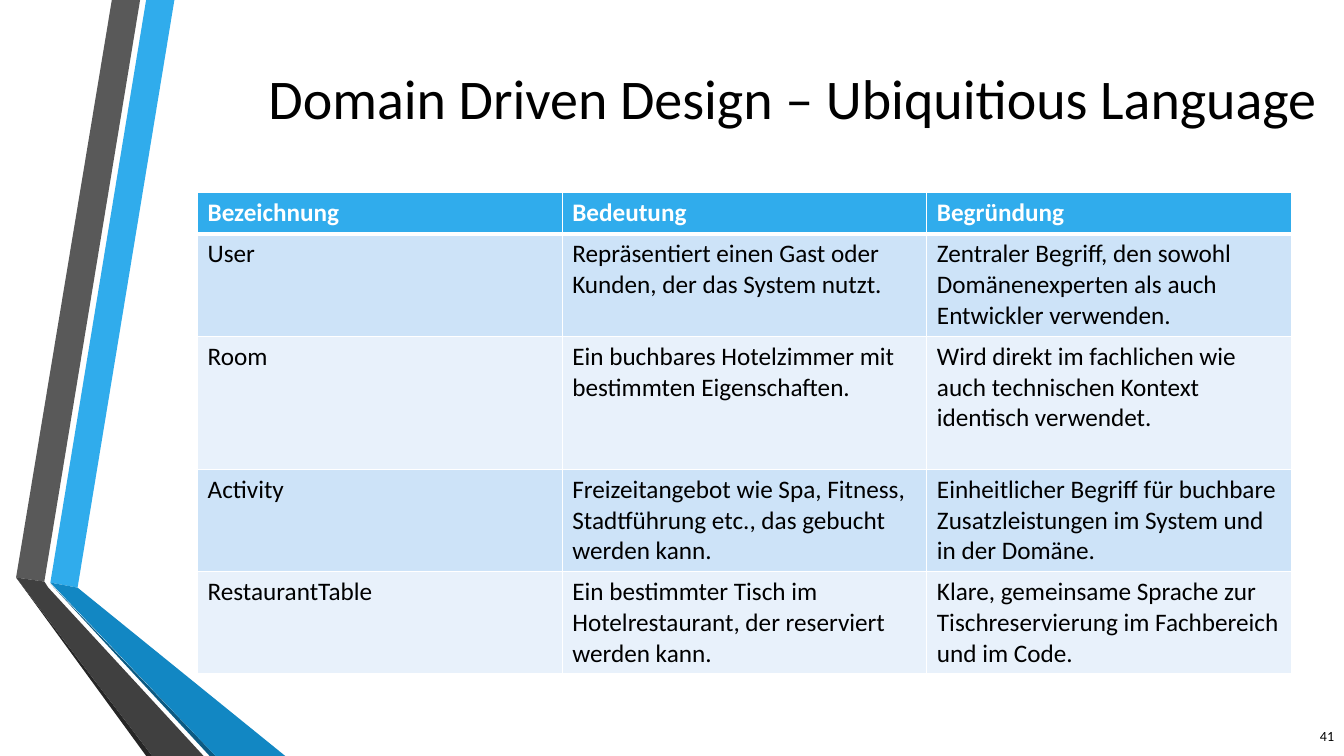
from dataclasses import dataclass

from lxml.etree import _Element
from pptx import Presentation
from pptx.dml.color import RGBColor
from pptx.dml.fill import FillFormat
from pptx.enum.text import MSO_ANCHOR, MSO_AUTO_SIZE, PP_ALIGN
from pptx.oxml import parse_xml
from pptx.oxml.ns import nsdecls
from pptx.slide import Slide
from pptx.table import _Cell
from pptx.text.text import TextFrame
from pptx.util import Inches, Pt

FONT = "Calibri"
BLACK, WHITE, BLUE = "000000", "FFFFFF", "30ACEC"
BAND_COLOURS = ("CDE3F8", "E8F1FB")


@dataclass(frozen=True)
class Ribbon:
    colour: str
    points: tuple[tuple[float, float], ...]


@dataclass(frozen=True)
class Term:
    name: str
    meaning: str
    reason: str
    height: float


RIBBONS = (
    Ribbon(BLUE, ((0.5, 5.78), (0.77, 5.83), (1.73, 0), (1.45, 0))),
    Ribbon("595959", ((1.39, 0), (1.11, 0), (0.16, 5.73), (0.44, 5.77))),
    Ribbon("262626", ((0.16, 5.73), (1.45, 7.5), (1.51, 7.5))),
    Ribbon("0C5A82", ((0.5, 5.79), (2.08, 7.5), (2.14, 7.5))),
    Ribbon("1287C3", ((0.5, 5.78), (2.14, 7.5), (2.83, 7.5), (0.77, 5.83))),
    Ribbon("404040", ((2.02, 7.5), (0.48, 5.83), (0.44, 5.77), (0.16, 5.73), (1.51, 7.5))),
)

TERMS = (
    Term("Bezeichnung", "Bedeutung", "Begründung", 0.41),
    Term("User",
         "Repräsentiert einen Gast oder Kunden, der das System nutzt.",
         "Zentraler Begriff, den sowohl Domänenexperten als auch Entwickler verwenden.", 1.01),
    Term("Room",
         "Ein buchbares Hotelzimmer mit bestimmten Eigenschaften.",
         "Wird direkt im fachlichen wie auch technischen Kontext identisch verwendet.", 1.32),
    Term("Activity",
         "Freizeitangebot wie Spa, Fitness, Stadtführung etc., das gebucht werden kann.",
         "Einheitlicher Begriff für buchbare Zusatzleistungen im System und in der Domäne.", 1.01),
    Term("RestaurantTable",
         "Ein bestimmter Tisch im Hotelrestaurant, der reserviert werden kann.",
         "Klare, gemeinsame Sprache zur Tischreservierung im Fachbereich und im Code.", 1.01),
)


def paint(fill: FillFormat, colour: str) -> None:
    fill.solid()
    fill.fore_color.rgb = RGBColor.from_string(colour)


def write(frame: TextFrame, text: str, size: float, colour: str = BLACK,
          align: PP_ALIGN = PP_ALIGN.LEFT, bold: bool = False) -> None:
    para = frame.paragraphs[0]
    para.alignment = align
    span = para.add_run()
    span.text = text
    span.font.name = FONT
    span.font.size = Pt(size)
    span.font.bold = bold
    span.font.color.rgb = RGBColor.from_string(colour)


def border(side: str, points: float) -> _Element:
    return parse_xml(
        f'<a:{side} {nsdecls("a")} w="{Pt(points)}"><a:solidFill>'
        f'<a:srgbClr val="{WHITE}"/></a:solidFill></a:{side}>')


def set_borders(cell: _Cell, top: float, bottom: float) -> None:
    widths = {"lnL": 1, "lnR": 1, "lnT": top, "lnB": bottom}
    properties = cell._tc.get_or_add_tcPr()
    for position, (side, points) in enumerate(widths.items()):
        properties.insert(position, border(side, points))


def draw_ribbon(page: Slide, ribbon: Ribbon) -> None:
    corners = [(Inches(x), Inches(y)) for x, y in ribbon.points]
    builder = page.shapes.build_freeform(*corners[0])
    builder.add_line_segments(corners[1:], close=True)
    shape = builder.convert_to_shape()
    shape.shadow.inherit = False
    paint(shape.fill, ribbon.colour)
    shape.line.fill.background()


def draw_title(page: Slide, text: str) -> None:
    title = page.shapes.title
    title.left, title.top = Inches(2.38), Inches(0)
    title.width, title.height = Inches(10.96), Inches(1.92)
    frame = title.text_frame
    frame.word_wrap = True
    frame.auto_size = MSO_AUTO_SIZE.NONE
    frame.vertical_anchor = MSO_ANCHOR.MIDDLE
    write(frame, text, 40, align=PP_ALIGN.CENTER)


def draw_glossary(page: Slide, terms: tuple[Term, ...]) -> None:
    height = sum(term.height for term in terms)
    table = page.shapes.add_table(
        len(terms), 3, Inches(1.96), Inches(1.91), Inches(10.85), Inches(height)).table
    for row, term in enumerate(terms):
        table.rows[row].height = Inches(term.height)
        header = row == 0
        for column, text in enumerate((term.name, term.meaning, term.reason)):
            cell = table.cell(row, column)
            paint(cell.fill, BLUE if header else BAND_COLOURS[(row - 1) % 2])
            set_borders(cell, top=3 if row == 1 else 1, bottom=3 if header else 1)
            write(cell.text_frame, text, 18, WHITE if header else BLACK, bold=header)


def draw_page_number(page: Slide, number: str) -> None:
    box = page.shapes.add_textbox(Inches(12.73), Inches(7.1), Inches(0.6), Inches(0.4))
    frame = box.text_frame
    frame.word_wrap = True
    frame.vertical_anchor = MSO_ANCHOR.MIDDLE
    write(frame, number, 10, align=PP_ALIGN.RIGHT)


def main() -> None:
    deck = Presentation()
    deck.slide_width, deck.slide_height = Inches(13.33), Inches(7.5)
    page = deck.slides.add_slide(deck.slide_layouts[5])
    paint(page.background.fill, WHITE)

    # Folded ribbons on the left
    for ribbon in RIBBONS:
        draw_ribbon(page, ribbon)

    # Title, glossary and page number
    draw_title(page, "Domain Driven Design – Ubiquitious Language")
    draw_glossary(page, TERMS)
    draw_page_number(page, "41")

    deck.save("out.pptx")


if __name__ == "__main__":
    main()
